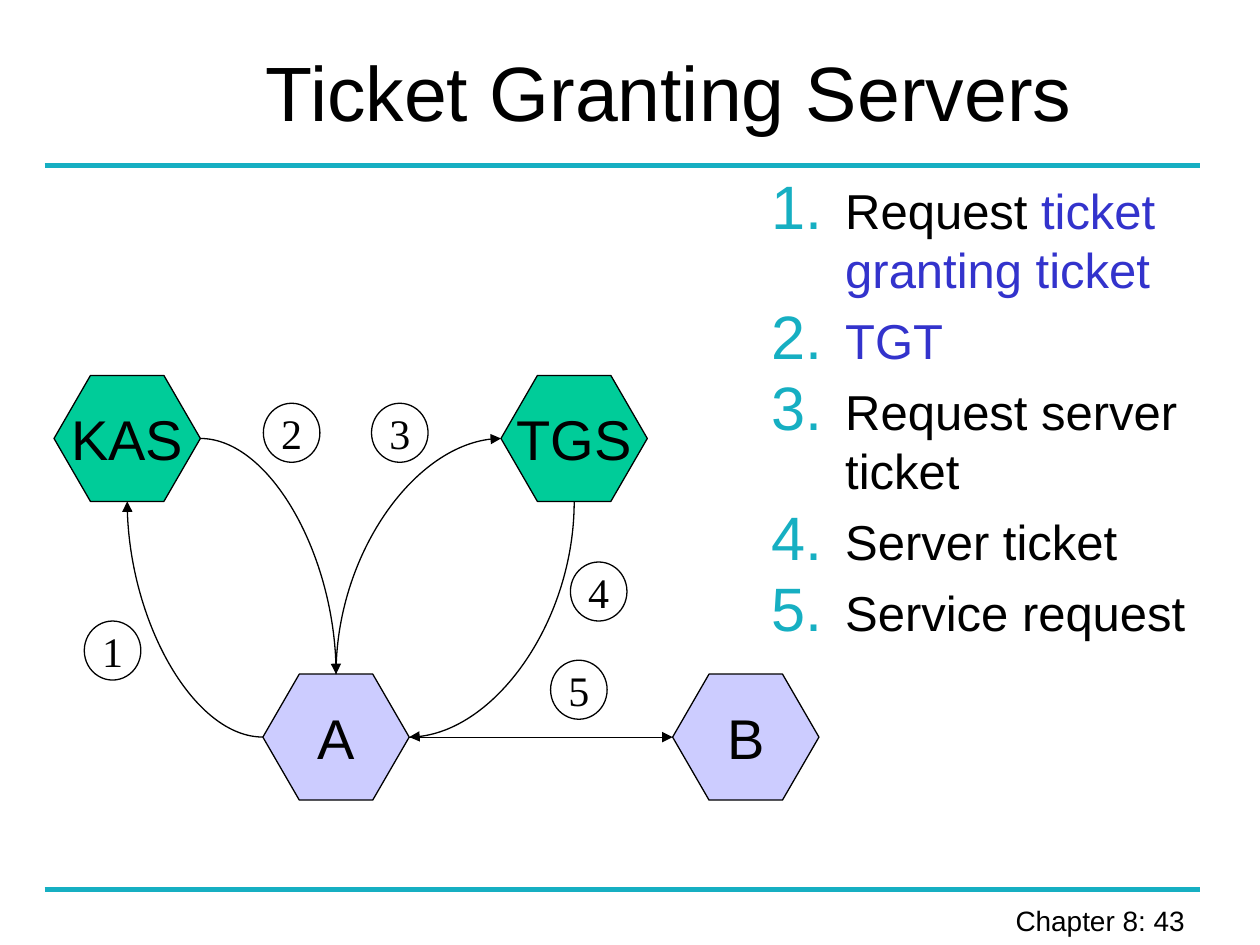
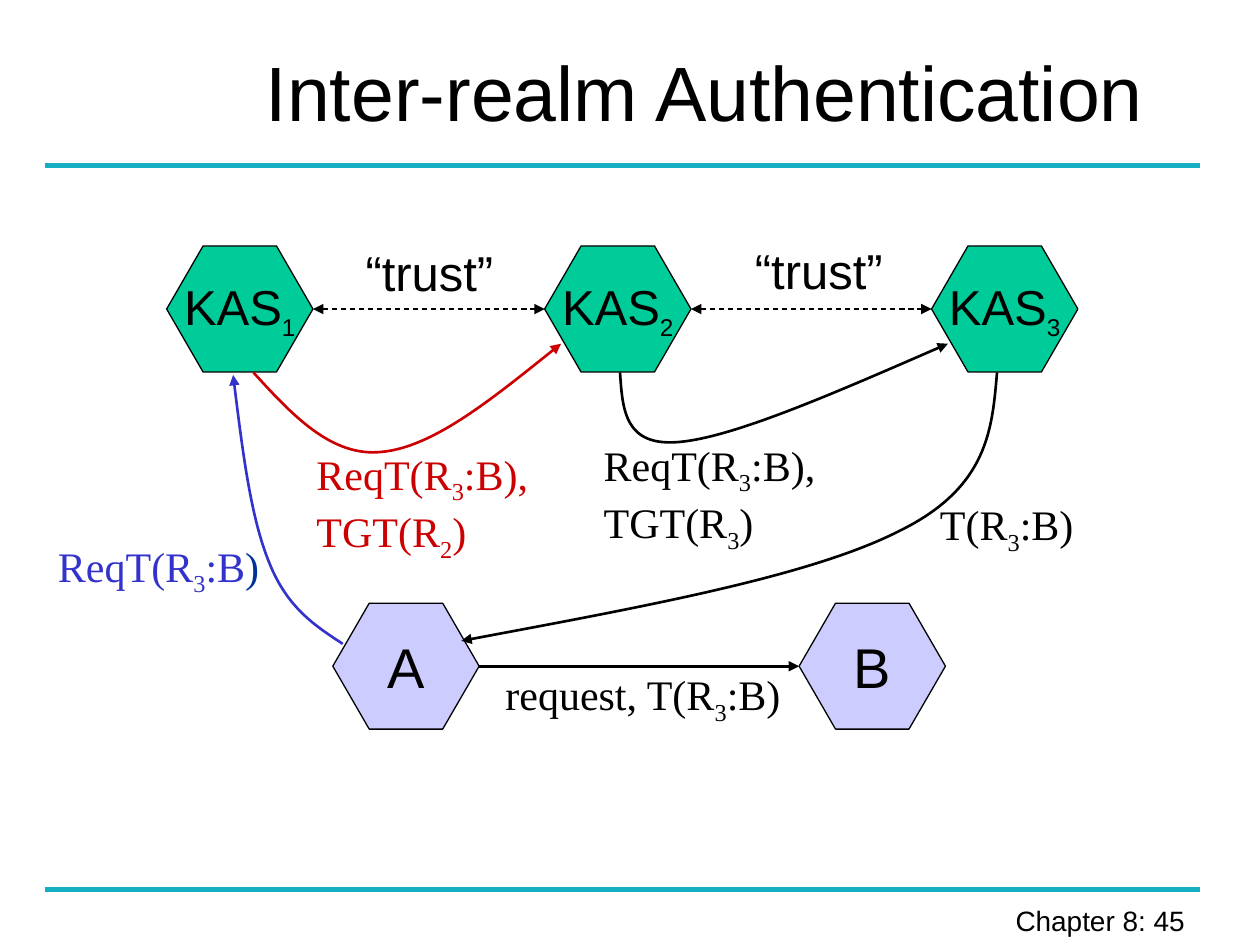
from lxml import etree
from pptx import Presentation
from pptx.dml.color import RGBColor
from pptx.enum.dml import MSO_LINE
from pptx.enum.shapes import MSO_CONNECTOR, MSO_SHAPE
from pptx.enum.text import MSO_ANCHOR, PP_ALIGN
from pptx.oxml.ns import qn
from pptx.util import Cm, Pt

STRAIGHT, CURVE = MSO_CONNECTOR.STRAIGHT, MSO_CONNECTOR.CURVE
HEXAGON, OVAL = MSO_SHAPE.HEXAGON, MSO_SHAPE.OVAL
TOP, MIDDLE = MSO_ANCHOR.TOP, MSO_ANCHOR.MIDDLE
LEFT, CENTER, RIGHT = PP_ALIGN.LEFT, PP_ALIGN.CENTER, PP_ALIGN.RIGHT
DASH = MSO_LINE.DASH

BLACK = RGBColor(0x00, 0x00, 0x00)
TEAL = RGBColor(0x16, 0xAF, 0xC2)
GREEN = RGBColor(0x00, 0xCC, 0x99)
LAVENDER = RGBColor(0xCC, 0xCC, 0xFF)
BLUE = RGBColor(0x33, 0x33, 0xCC)
NAVY = RGBColor(0x00, 0x33, 0x99)
RED = RGBColor(0xCC, 0x00, 0x00)

SANS, SERIF = "Arial", "Times New Roman"
NODE_WIDTH, NODE_HEIGHT = 2.95, 2.54
BADGE_WIDTH, BADGE_HEIGHT = 1.14, 1.19


def write(paragraph, text, size, font=SANS, color=BLACK, align=LEFT, sub_size=None):
    """Fill a paragraph; text may be (text, colour) parts, and _ lowers the next character."""
    paragraph.alignment = align
    paragraph.font.size = Pt(size)
    paragraph.font.name = font
    paragraph.font.color.rgb = color
    parts = [(text, color)] if isinstance(text, str) else text
    for part, part_color in parts:
        plain, *lowered = part.split("_")
        pieces = [(plain, False)]
        for piece in lowered:
            pieces += [(piece[0], True), (piece[1:], False)]
        for piece, is_sub in pieces:
            if not piece:
                continue
            run = paragraph.add_run()
            run.text = piece
            if part_color != color:
                run.font.color.rgb = part_color
            if is_sub:
                run._r.get_or_add_rPr().set("baseline", "-25000")
                if sub_size:
                    run.font.size = Pt(sub_size)


def add_text(slide, box, lines, size, wrap=False, anchor=TOP, **style):
    """Add a text box with one paragraph per line and return its paragraphs."""
    frame = slide.shapes.add_textbox(*map(Cm, box)).text_frame
    frame.word_wrap = wrap
    frame.vertical_anchor = anchor
    for index, line in enumerate(lines):
        paragraph = frame.add_paragraph() if index else frame.paragraphs[0]
        write(paragraph, line, size, **style)
    return frame.paragraphs


def style_line(line, color, width, head=False, tail=False):
    """Colour a line and give its ends triangular arrowheads."""
    line.color.rgb = color
    line.width = Pt(width)
    for tag, wanted in (("a:headEnd", head), ("a:tailEnd", tail)):
        if wanted:
            etree.SubElement(line._get_or_add_ln(), qn(tag), type="triangle")


def add_line(slide, start, end, color=BLACK, width=0.75, kind=STRAIGHT, dash=None, **ends):
    """Join two points by a connector without a shadow."""
    connector = slide.shapes.add_connector(kind, *map(Cm, (*start, *end)))
    if dash:
        connector.line.dash_style = dash
    style_line(connector.line, color, width, **ends)
    properties = connector._element.spPr
    etree.SubElement(properties, qn("a:effectLst"))
    if kind == CURVE:
        properties.find(qn("a:prstGeom")).set("prst", "curvedConnector2")


def add_curve(slide, points, color):
    """Draw an arrow along Bézier segments given as a start and triples of points."""
    start, *rest = [(Cm(x), Cm(y)) for x, y in points]
    builder = slide.shapes.build_freeform(*start)
    builder.add_line_segments(rest, close=False)
    curve = builder.convert_to_shape()
    curve.shadow.inherit = False
    curve.fill.background()
    style_line(curve.line, color, 1.5, tail=True)
    steps = list(curve._element.iter(qn("a:lnTo")))
    for index in range(0, len(steps), 3):
        bezier = etree.Element(qn("a:cubicBezTo"))
        steps[index].addprevious(bezier)
        for step in steps[index:index + 3]:
            bezier.append(step[0])
            step.getparent().remove(step)


def add_outlined(slide, kind, box, text, size, fill=None, **style):
    """Add a thinly outlined shape with centred text."""
    shape = slide.shapes.add_shape(kind, *map(Cm, box))
    shape.shadow.inherit = False
    if fill is None:
        shape.fill.background()
    else:
        shape.fill.solid()
        shape.fill.fore_color.rgb = fill
    style_line(shape.line, BLACK, 0.75)
    shape.text_frame.word_wrap = False
    shape.text_frame.vertical_anchor = MIDDLE
    write(shape.text_frame.paragraphs[0], text, size, align=CENTER, **style)
    return shape


def add_node(slide, left, top, text, fill, size=32, sub_size=None):
    """Add a hexagon and return the middles of its four sides by name."""
    box = (left, top, NODE_WIDTH, NODE_HEIGHT)
    node = add_outlined(slide, HEXAGON, box, text, size, fill, sub_size=sub_size)
    node.adjustments[0] = 0.289
    center, middle = left + NODE_WIDTH / 2, top + NODE_HEIGHT / 2
    return {"top": (center, top), "left": (left, middle),
            "bottom": (center, top + NODE_HEIGHT), "right": (left + NODE_WIDTH, middle)}


def add_frame(prs, title, number):
    """Add a slide with its title, two rules and chapter footer."""
    slide = prs.slides.add_slide(prs.slide_layouts[6])
    for rule_y in (3.33, 17.93):
        add_line(slide, (0.9, rule_y), (24.19, rule_y), TEAL, 3)
    add_text(slide, (18.7, 18.08, 5.59, 0.97), [f"Chapter 8: {number} "], 16,
             wrap=True, align=RIGHT)
    add_text(slide, (5.11, 0.73, 20.24, 2.21), [title], 44, wrap=True, anchor=MIDDLE)
    return slide


def add_steps(slide, box, steps):
    """Add the numbered list of protocol steps."""
    for paragraph in add_text(slide, box, steps, 28, wrap=True):
        paragraph.space_before = Pt(7)
        properties = paragraph._p.get_or_add_pPr()
        properties.set("marL", str(Cm(1.48)))
        properties.set("indent", str(-Cm(1.48)))
        color = etree.Element(qn("a:buClr"))
        etree.SubElement(color, qn("a:srgbClr"), val=str(TEAL))
        size = etree.Element(qn("a:buSzPct"), val="125000")
        numbering = etree.Element(qn("a:buAutoNum"), type="arabicPeriod")
        defaults = properties.find(qn("a:defRPr"))
        for bullet in (color, size, numbering):
            defaults.addprevious(bullet)


def add_ticket_diagram(slide, left, top):
    """Draw the exchange between client, servers and service."""
    low = top + 6.02
    kas = add_node(slide, left, top, "KAS", GREEN)
    client = add_node(slide, left + 4.21, low, "A", LAVENDER)
    service = add_node(slide, left + 12.47, low, "B", LAVENDER)
    tgs = add_node(slide, left + 9.01, top, "TGS", GREEN)
    add_line(slide, client["left"], kas["bottom"], kind=CURVE, tail=True)
    add_line(slide, kas["right"], client["top"], kind=CURVE, tail=True)
    add_line(slide, tgs["left"], client["top"], kind=CURVE, head=True)
    add_line(slide, client["right"], tgs["bottom"], kind=CURVE, head=True)
    add_line(slide, client["right"], service["left"], tail=True)
    badges = [(0.61, 4.95), (4.22, 0.56), (6.4, 0.56), (10.41, 3.76), (10.01, 5.74)]
    for number, (x, y) in enumerate(badges, 1):
        add_outlined(slide, OVAL, (left + x, top + y, BADGE_WIDTH, BADGE_HEIGHT),
                     str(number), 24, font=SERIF)


def add_realm_diagram(slide, left, top):
    """Draw the chain of trusted servers and the messages between realms."""
    servers = [add_node(slide, left + x, top + 0.24, f"KAS_{number}", GREEN, 28, 24)
               for number, x in enumerate((2.44, 10.06, 17.86), 1)]
    client = add_node(slide, left + 5.79, top + 7.44, "A", LAVENDER)
    service = add_node(slide, left + 15.19, top + 7.44, "B", LAVENDER)
    add_line(slide, client["right"], service["left"], width=1.5, tail=True)
    for near, far in zip(servers, servers[1:]):
        add_line(slide, near["right"], far["left"], dash=DASH, head=True, tail=True)
    for x, y in ((6.2, 0.05), (14.05, 0)):
        add_text(slide, (left + x, top + y, 3.4, 1.45), ["“trust”"], 28)

    messages = [
        (0, 6.05, 4.9, 1.42, [[("ReqT(R_3:B", BLUE), (")", NAVY)]], BLUE),
        (5.21, 4.19, 4.78, 2.57, ["ReqT(R_3:B),", "TGT(R_2)"], RED),
        (11, 4.01, 4.98, 2.57, ["ReqT(R_3:B),", "TGT(R_3)"], BLACK),
        (9.02, 8.64, 6.3, 1.42, ["request, T(R_3:B)"], BLACK),
        (17.78, 5.21, 3.4, 1.42, ["T(R_3:B)"], BLACK),
    ]
    for x, y, width, height, lines, color in messages:
        add_text(slide, (left + x, top + y, width, height), lines, 24,
                 font=SERIF, color=color)

    routes = [
        (BLUE, [(5.99, 8.26), (5.44, 7.9), (4.88, 7.54), (4.52, 6.65),
                (4.14, 5.74), (3.96, 4.29), (3.78, 2.84)]),
        (RED, [(4.19, 2.79), (4.98, 3.66), (5.77, 4.5), (6.78, 4.39),
               (7.82, 4.29), (9.09, 3.25), (10.39, 2.21)]),
        (BLACK, [(11.58, 2.79), (11.63, 3.56), (11.68, 4.29), (12.78, 4.19),
                 (13.89, 4.09), (16.03, 3.15), (18.19, 2.21)]),
        (BLACK, [(19.18, 2.79), (19.08, 3.94), (19, 5.11), (17.2, 5.99),
                 (15.39, 6.91), (11.89, 7.54), (8.38, 8.2)]),
    ]
    for color, points in routes:
        add_curve(slide, [(left + x, top + y) for x, y in points], color)


def main():
    """Build both slides and save the presentation."""
    prs = Presentation()
    prs.slide_width, prs.slide_height = Cm(25.4), Cm(19.05)

    tickets = add_frame(prs, "Ticket Granting Servers", 43)
    add_steps(tickets, (15.31, 3.52, 9.8, 10.01), [
        [("Request ", BLACK), ("ticket granting ticket", BLUE)],
        [("TGT", BLUE)],
        "Request server ticket",
        "Server ticket",
        "Service request",
    ])
    add_ticket_diagram(tickets, 1.09, 7.57)

    realms = add_frame(prs, "Inter-realm Authentication", 45)
    add_realm_diagram(realms, 0.92, 4.72)
    prs.save("out.pptx")


if __name__ == "__main__":
    main()
